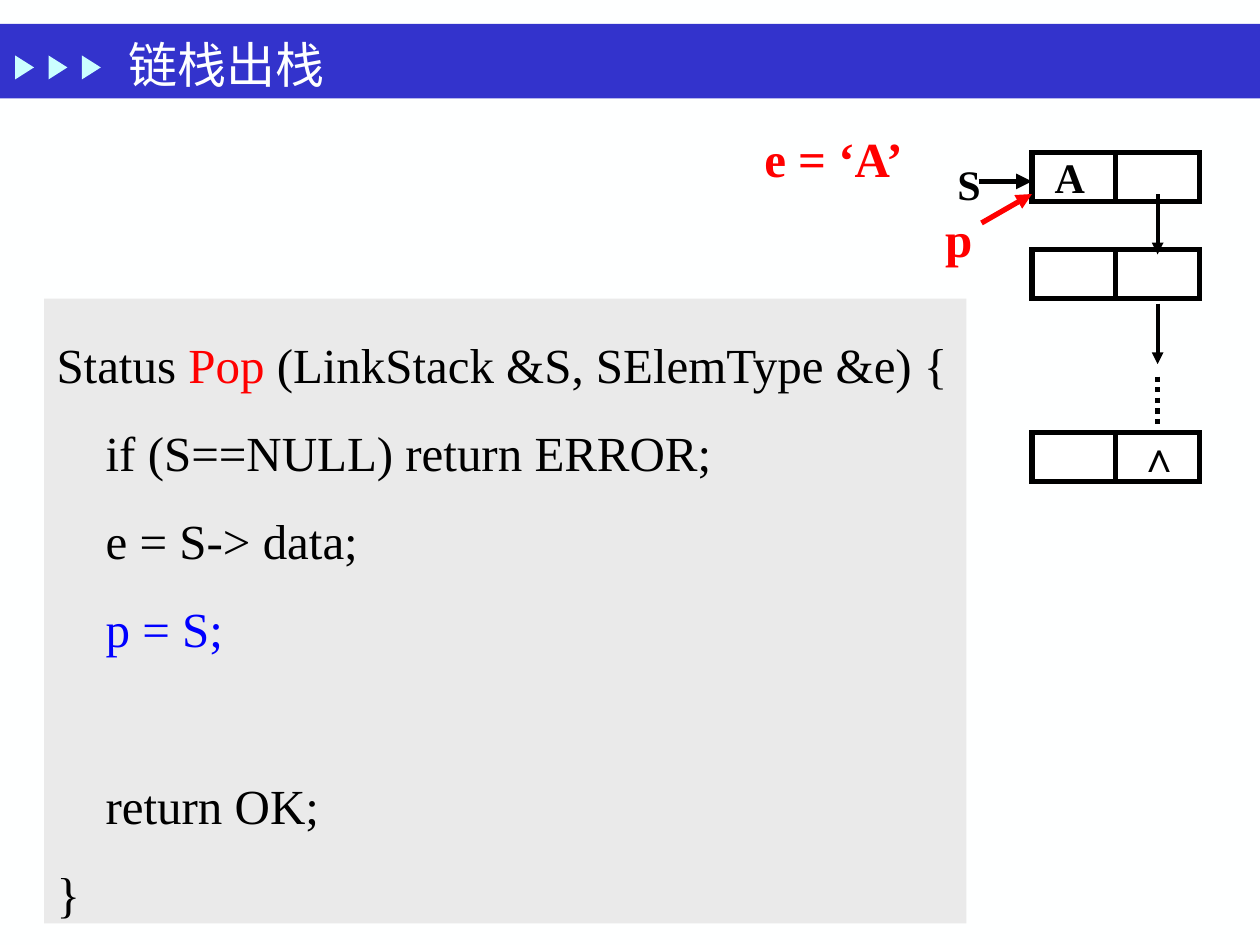
import pptx
import pptx.util
import pptx.dml.color
import pptx.enum.dml
import pptx.enum.shapes
import pptx.enum.text
import pptx.oxml
import pptx.oxml.ns

Inches, Pt = pptx.util.Inches, pptx.util.Pt
RGBColor = pptx.dml.color.RGBColor
SHAPE = pptx.enum.shapes.MSO_SHAPE
ANCHOR = pptx.enum.text.MSO_ANCHOR
ALIGN = pptx.enum.text.PP_ALIGN

PAPER = RGBColor(0xFE, 0xFF, 0xFF)
WHITE = RGBColor(0xFF, 0xFF, 0xFF)
BLACK = RGBColor(0, 0, 0)
BANNER = RGBColor(0x33, 0x33, 0xCC)
CYAN = RGBColor(0xCB, 0xFF, 0xFF)
GRAY = RGBColor(0xEA, 0xEA, 0xEA)
RED = RGBColor(0xFF, 0, 0)
BLUE = RGBColor(0, 0, 0xFF)
FONT = "Times New Roman"

TITLE = "链栈出栈"
# Each line: indent level, blank lines above it, coloured pieces.
CODE = [
    (0, 0, [("Status ", BLACK), ("Pop ", RED), ("(LinkStack &S, SElemType &e) {", BLACK)]),
    (1, 0, [("if (S==NULL) return ERROR;", BLACK)]),
    (1, 0, [("e = S-> data;", BLACK)]),
    (1, 0, [("p = S;", BLUE)]),
    (1, 1, [("return OK;", BLACK)]),
    (0, 0, [("}", BLACK)]),
]
CODE_SIZE, CODE_PITCH = 28, 50.3

NODE_LEFT, NODE_WIDTH, NODE_HEIGHT = 8.19, 1.33, 0.39
NODE_TOPS = [1.21, 1.98, 3.43]
LINK_X = NODE_LEFT + NODE_WIDTH * 0.75
# Label, left, top, width, height, size, colour
LABELS = [
    ("∧", 8.94, 3.37, 0.5, 0.5, 24, BLACK),
    ("S", 7.44, 1.2, 0.5, 0.51, 24, BLACK),
    ("A", 8.24, 1.14, 0.5, 0.51, 24, BLACK),
    ("e = ‘A’", 5.74, 0.97, 1.75, 0.57, 28, RED),
    ("p", 7.36, 1.6, 0.5, 0.57, 28, RED),
]
# Start, end, colour, width
ARROWS = [
    ((LINK_X, 1.54), (LINK_X, 2.02), BLACK, 2.25),
    ((LINK_X, 2.41), (LINK_X, 2.89), BLACK, 2.25),
    ((7.77, 1.44), (NODE_LEFT, 1.44), BLACK, 3),
    ((7.79, 1.77), (NODE_LEFT, 1.54), RED, 3),
]


def drawing_element(markup):
    """Parse one empty DrawingML tag, given as its name and attributes."""
    return pptx.oxml.parse_xml("<a:%s %s/>" % (markup, pptx.oxml.ns.nsdecls("a")))


def add_filled(page, kind, place, fill, outline=None):
    shape = page.shapes.add_shape(kind, *map(Inches, place))
    shape.shadow.inherit = False
    shape.fill.solid()
    shape.fill.fore_color.rgb = fill
    if outline is None:
        shape.line.fill.background()
    else:
        shape.line.color.rgb = outline
        shape.line.width = Pt(3)
        shape.line._get_or_add_ln().append(drawing_element('miter lim="800000"'))
    return shape


def add_line(page, start, end, color=BLACK, width=3, arrow=False, dash=None):
    line = page.shapes.add_connector(
        pptx.enum.shapes.MSO_CONNECTOR.STRAIGHT, *map(Inches, start + end))
    line.line.color.rgb = color
    line.line.width = Pt(width)
    if dash is not None:
        line.line.dash_style = dash
    if arrow:
        line.line._get_or_add_ln().append(drawing_element('tailEnd type="triangle"'))
    line._element.spPr.append(drawing_element("effectLst"))


def style(span, size, color, bold=False):
    span.font.name = FONT
    span.font.size = Pt(size)
    span.font.bold = bold
    span.font.color.rgb = color


def add_label(page, text, place, size, color, bold=True,
              align=ALIGN.CENTER, anchor=ANCHOR.BOTTOM):
    frame = page.shapes.add_textbox(*map(Inches, place)).text_frame
    frame.word_wrap = True
    frame.vertical_anchor = anchor
    frame.text = text
    para = frame.paragraphs[0]
    para.alignment = align
    style(para.runs[0], size, color, bold)


def add_banner(page):
    add_filled(page, SHAPE.RECTANGLE, (0, 0.19, 10, 0.59), BANNER)
    for column in range(3):
        marker = add_filled(page, SHAPE.ISOSCELES_TRIANGLE,
                            (0.1 + column * 0.265, 0.46, 0.19, 0.15), CYAN)
        marker.rotation = 90
    add_label(page, TITLE, (0.92, 0.26, 7, 0.5), 28, PAPER,
              bold=False, align=ALIGN.LEFT, anchor=ANCHOR.MIDDLE)


def add_linked_stack(page):
    middle = NODE_LEFT + NODE_WIDTH / 2
    for top in NODE_TOPS:
        add_filled(page, SHAPE.RECTANGLE,
                   (NODE_LEFT, top, NODE_WIDTH, NODE_HEIGHT), WHITE, BLACK)
        add_line(page, (middle, top), (middle, top + NODE_HEIGHT))
    for start, end, color, width in ARROWS:
        add_line(page, start, end, color, width, arrow=True)
    add_line(page, (LINK_X, 2.99), (LINK_X, 3.38),
             dash=pptx.enum.dml.MSO_LINE.ROUND_DOT)
    for text, left, top, width, height, size, color in LABELS:
        add_label(page, text, (left, top, width, height), size, color)


def add_code(page):
    box = add_filled(page, SHAPE.RECTANGLE, (0.35, 2.37, 7.32, 4.96), GRAY)
    frame = box.text_frame
    frame.word_wrap = True
    frame.vertical_anchor = ANCHOR.TOP
    for number, (level, blanks, pieces) in enumerate(CODE):
        para = frame.add_paragraph() if number else frame.paragraphs[0]
        para.alignment = ALIGN.LEFT
        para.line_spacing = 1.5
        para.space_before = Pt(blanks * CODE_PITCH)
        para._p.get_or_add_pPr().set("marL", str(Inches(0.39 * level)))
        for text, color in pieces:
            span = para.add_run()
            span.text = text
            style(span, CODE_SIZE, color)


def main():
    deck = pptx.Presentation()
    deck.slide_width, deck.slide_height = Inches(10), Inches(7.5)
    page = deck.slides.add_slide(deck.slide_layouts[6])
    page.background.fill.solid()
    page.background.fill.fore_color.rgb = PAPER
    add_banner(page)
    add_linked_stack(page)
    add_code(page)
    deck.save("out.pptx")


if __name__ == "__main__":
    main()
